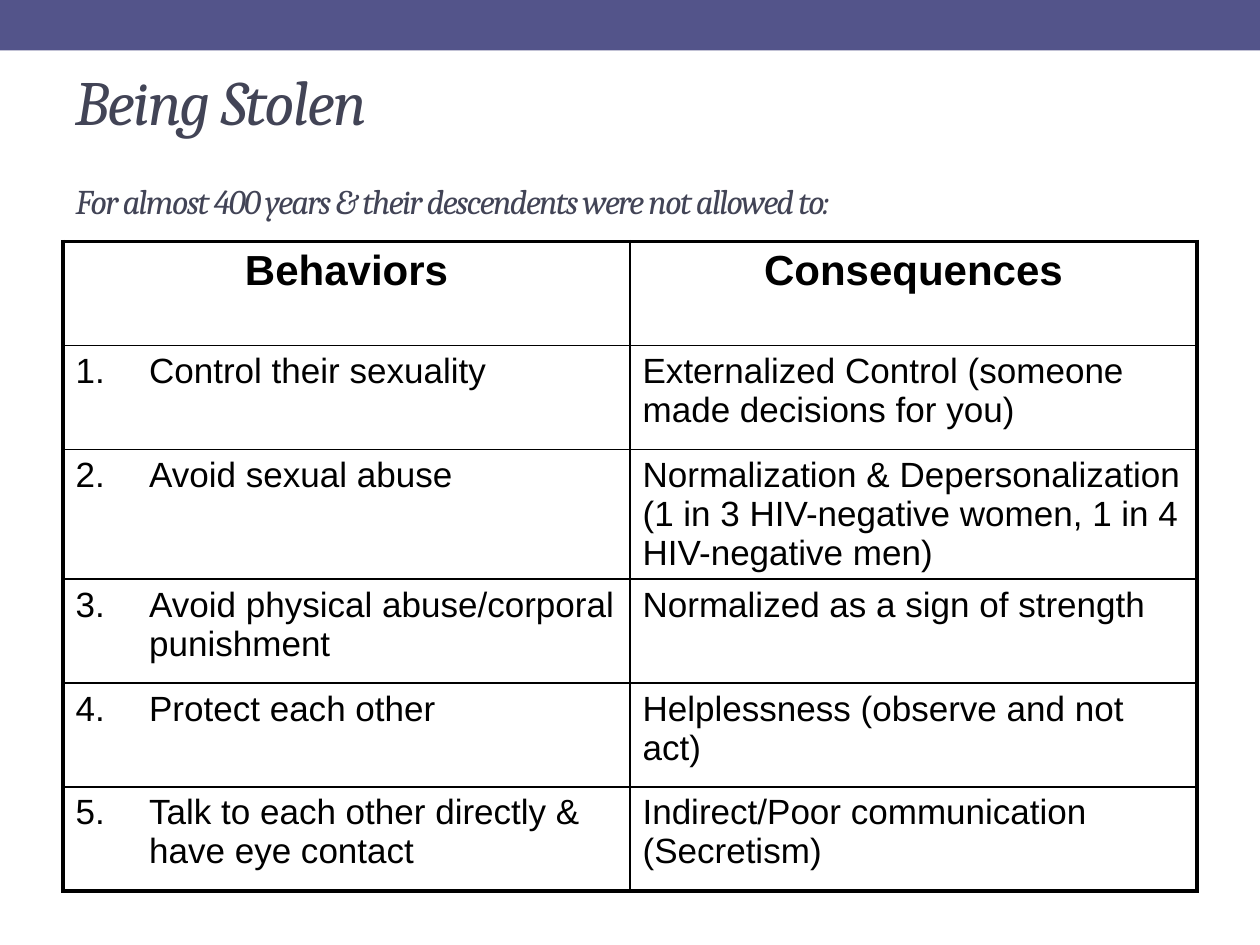
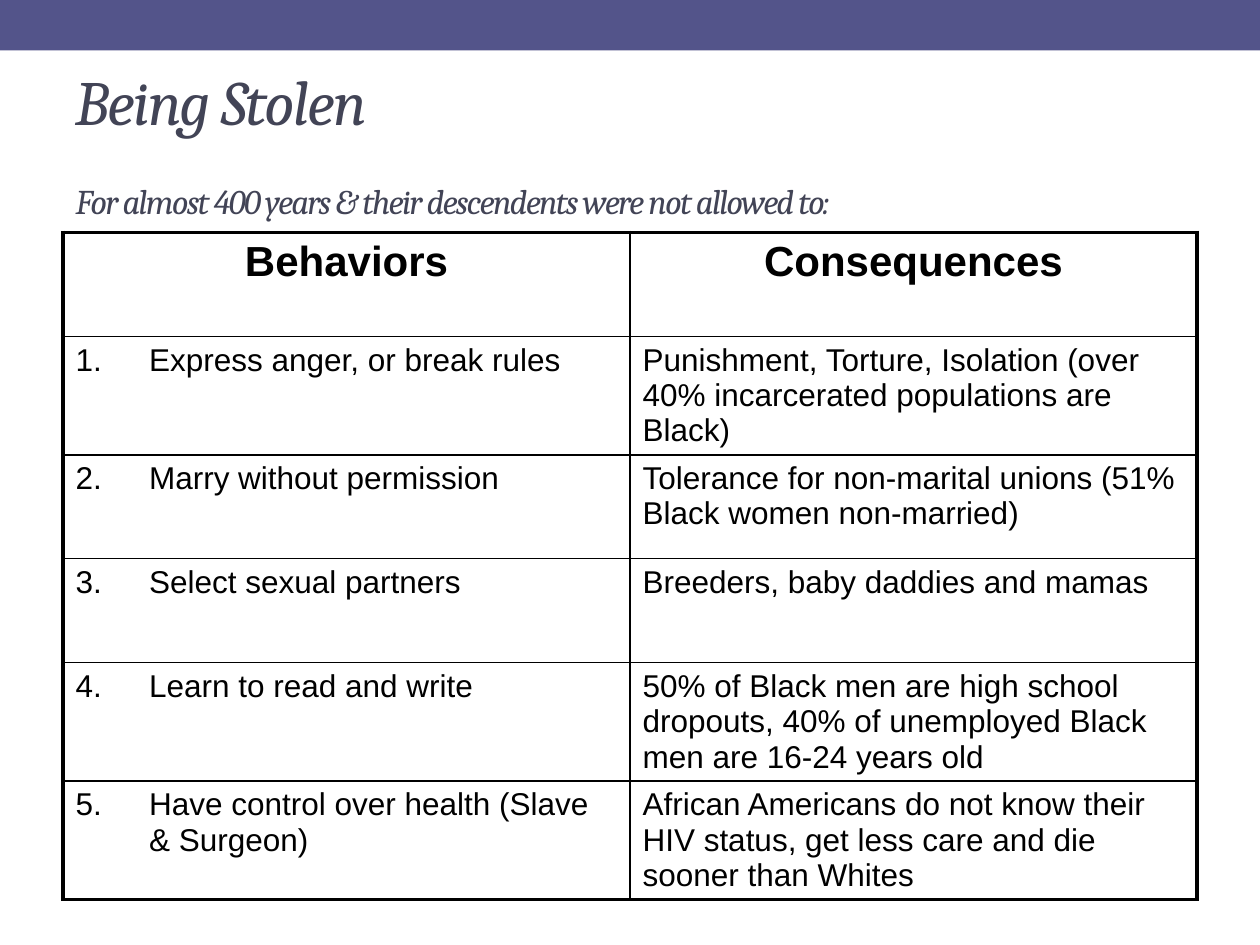
from pptx import Presentation
from pptx.dml.color import RGBColor
from pptx.enum.shapes import MSO_SHAPE
from pptx.enum.text import MSO_ANCHOR, PP_ALIGN
from pptx.oxml.ns import qn
from pptx.util import Pt
from lxml.etree import SubElement

PURPLE = RGBColor(0x53, 0x54, 0x8A)
SLATE = RGBColor(0x42, 0x44, 0x56)
BLACK = RGBColor(0, 0, 0)
THICK, THIN = 2.25, 1
INDENT = 42
ROW = 59.4
LEAD_SIZE = 19.8
HEADS = ("Behaviors", "Consequences")
TITLE = "Being Stolen"
LEAD = "For almost 400 years & their descendents were not allowed to:"

# Each slide: top of the table, size of its body text, rows
SLIDES = [
    (138, 20, [
        ("Control their sexuality",
         "Externalized Control (someone made decisions for you)"),
        ("Avoid sexual abuse",
         "Normalization & Depersonalization (1 in 3 HIV-negative women, "
         "1 in 4 HIV-negative men)"),
        ("Avoid physical abuse/corporal punishment",
         "Normalized as a sign of strength"),
        ("Protect each other", "Helplessness (observe and not act)"),
        ("Talk to each other directly & have eye contact",
         "Indirect/Poor communication (Secretism)"),
    ]),
    (132.8, 18, [
        ("Express anger, or break rules",
         "Punishment, Torture, Isolation (over 40% incarcerated "
         "populations are Black)"),
        ("Marry without permission",
         "Tolerance for non-marital unions (51% Black women non-married)"),
        ("Select sexual partners", "Breeders, baby daddies and mamas"),
        ("Learn to read and write",
         "50% of Black men are high school dropouts, 40% of unemployed "
         "Black men are 16-24 years old"),
        ("Have control over health (Slave & Surgeon)",
         "African Americans do not know their HIV status, get less care "
         "and die sooner than Whites"),
    ]),
]


def write(para, text, size, font="Arial", color=BLACK, bold=False,
          italic=False, track=0):
    """Add a formatted run to a paragraph."""
    run = para.add_run()
    run.text = text
    face = run.font
    face.name, face.size = font, Pt(size)
    face.bold, face.italic = bold, italic
    face.color.rgb = color
    if track:
        run._r.get_or_add_rPr().set("spc", str(track * 100))


def split(para, size, font):
    """Add a line break whose height follows the given font."""
    para.add_line_break()
    props = SubElement(para._p[-1], qn("a:rPr"), sz=str(round(size * 100)))
    SubElement(props, qn("a:latin"), typeface=font)


def space(para, number=None):
    """Set the gap above a paragraph and, if given, its list number."""
    props = para._p.get_or_add_pPr()
    gap = SubElement(props, qn("a:spcBef"))
    SubElement(gap, qn("a:spcPct"), val="20000")
    if number:
        props.set("marL", str(Pt(INDENT)))
        props.set("indent", str(-Pt(INDENT)))
        SubElement(props, qn("a:buFont"), typeface="+mj-lt")
        SubElement(props, qn("a:buAutoNum"), type="arabicPeriod",
                   startAt=str(number))


def edge(cell, **widths):
    """Draw the cell's borders; sides come in the order L, R, T, B."""
    props = cell._tc.get_or_add_tcPr()
    for side, width in widths.items():
        line = SubElement(props, qn("a:ln" + side), w=str(Pt(width)))
        fill = SubElement(line, qn("a:solidFill"))
        SubElement(fill, qn("a:srgbClr"), val=str(BLACK))


def add_band(slide, left, top, width, height):
    band = slide.shapes.add_shape(MSO_SHAPE.RECTANGLE, Pt(left), Pt(top),
                                  Pt(width), Pt(height))
    band.shadow.inherit = False
    band.fill.solid()
    band.fill.fore_color.rgb = PURPLE
    band.line.fill.background()


def add_title(slide, left, top, width, height):
    title = slide.shapes.title
    title.left, title.top = Pt(left), Pt(top)
    title.width, title.height = Pt(width), Pt(height)
    frame = title.text_frame
    frame.word_wrap = True
    frame.vertical_anchor = MSO_ANCHOR.MIDDLE
    para = frame.paragraphs[0]
    para.alignment = PP_ALIGN.LEFT
    style = dict(font="Cambria", color=SLATE, italic=True, track=-1)
    write(para, TITLE, 36, **style)
    for _ in range(2):
        split(para, LEAD_SIZE, style["font"])
    write(para, LEAD, LEAD_SIZE, **style)


def add_grid(slide, left, top, width, size, rows):
    count = len(rows) + 1
    grid = slide.shapes.add_table(count, 2, Pt(left), Pt(top), Pt(width),
                                  Pt(ROW * count)).table
    grid.first_row = grid.horz_banding = False
    for row, texts in enumerate([HEADS] + rows):
        grid.rows[row].height = Pt(ROW)
        for col, text in enumerate(texts):
            cell = grid.cell(row, col)
            para = cell.text_frame.paragraphs[0]
            if row == 0:
                para.alignment = PP_ALIGN.CENTER
            space(para, row if col == 0 else None)
            write(para, text, size if row else 24, bold=row == 0)
            # Heavy lines on the outside, light ones inside
            edge(cell, L=THIN if col else THICK, R=THICK if col else THIN,
                 T=THIN if row else THICK,
                 B=THICK if row == count - 1 else THIN)
            cell.fill.background()


def main():
    deck = Presentation()
    deck.slide_width, deck.slide_height = Pt(720), Pt(540)
    for top, size, rows in SLIDES:
        slide = deck.slides.add_slide(deck.slide_layouts[5])
        add_band(slide, 0, 0, 720, 28.8)
        add_title(slide, 36, 36, 648, 90)
        add_grid(slide, 36, top, 648, size, rows)
    deck.save("out.pptx")


if __name__ == "__main__":
    main()
